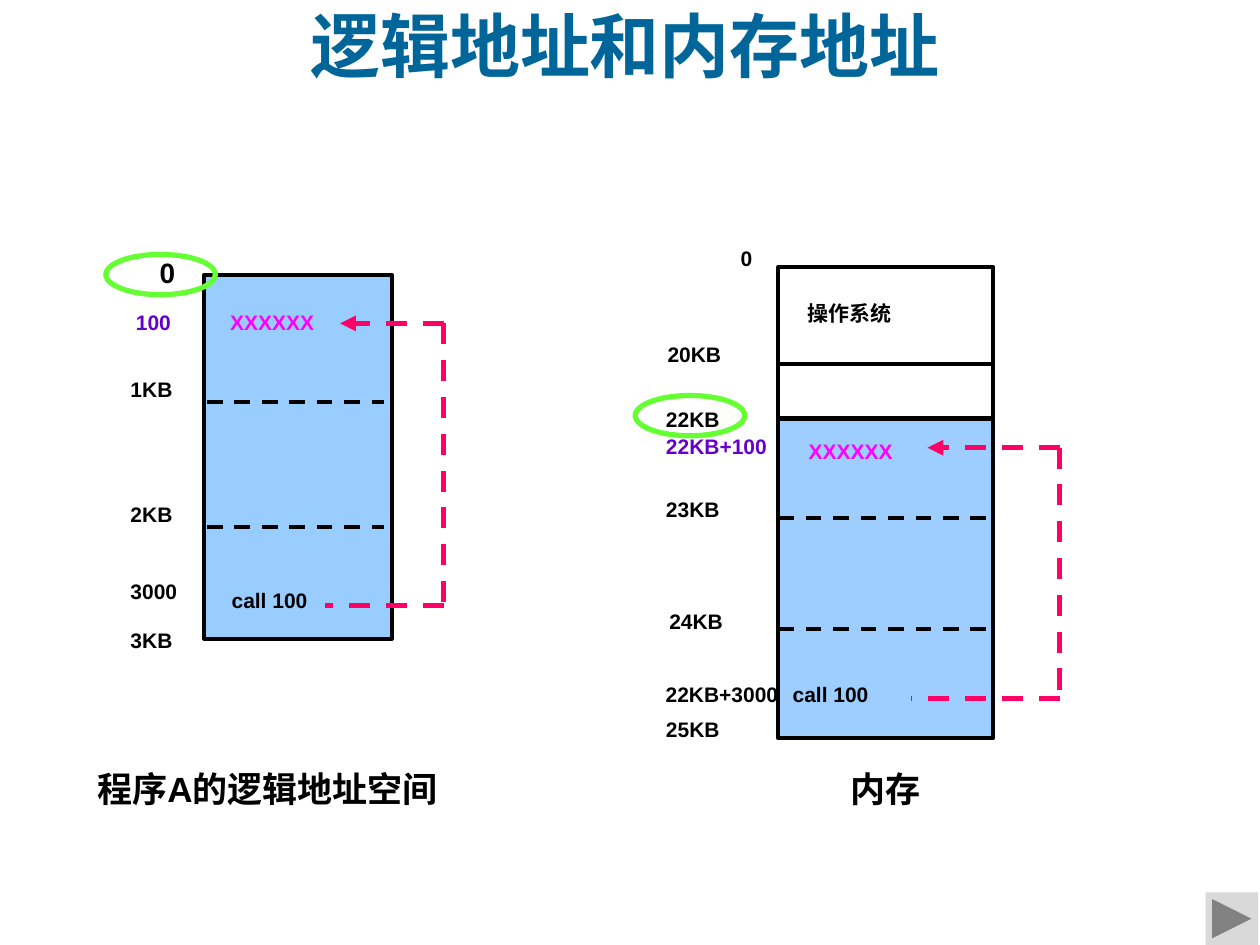
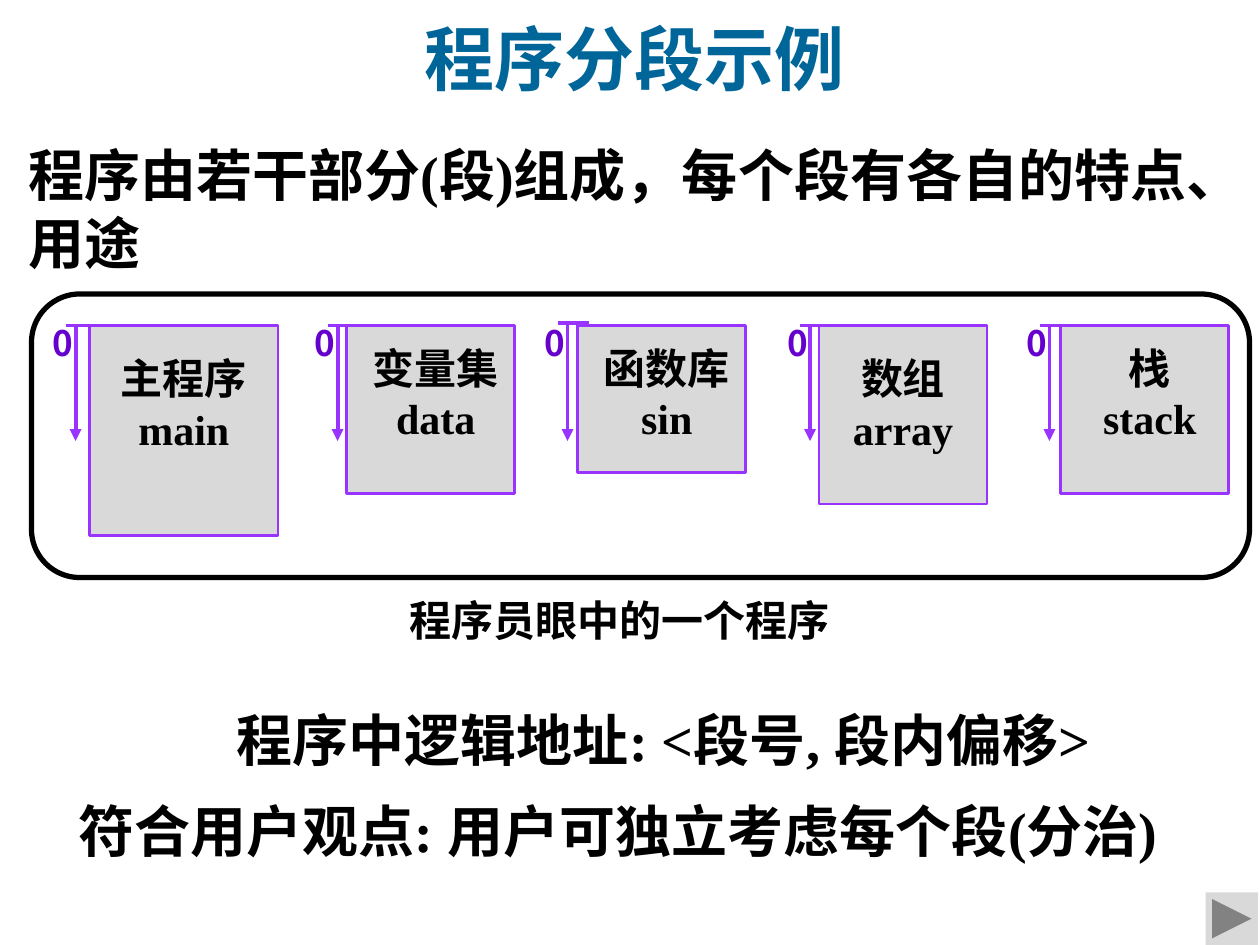
from dataclasses import dataclass
from typing import NamedTuple

from lxml import etree
from pptx import Presentation
from pptx.dml.color import RGBColor
from pptx.enum.dml import MSO_LINE
from pptx.enum.shapes import MSO_CONNECTOR, MSO_SHAPE
from pptx.enum.text import MSO_ANCHOR, MSO_AUTO_SIZE, PP_ALIGN
from pptx.oxml.ns import qn
from pptx.slide import Slide
from pptx.util import Pt

RECT = MSO_SHAPE.RECTANGLE
ROUNDED = MSO_SHAPE.ROUNDED_RECTANGLE
OVAL = MSO_SHAPE.OVAL
NEXT_BUTTON = MSO_SHAPE.ACTION_BUTTON_FORWARD_OR_NEXT
STRAIGHT = MSO_CONNECTOR.STRAIGHT
DASH = MSO_LINE.DASH
LEFT, CENTER = PP_ALIGN.LEFT, PP_ALIGN.CENTER
TOP = MSO_ANCHOR.TOP
NO_AUTOSIZE = MSO_AUTO_SIZE.NONE
TITLE_ONLY = 5


@dataclass(frozen=True)
class Theme:
    title: str = "006699"
    ink: str = "000000"
    program: str = "99CCFF"
    loaded: str = "9DCEFF"
    jump: str = "FF0066"
    target: str = "FF00FF"
    address: str = "6600CC"
    highlight: str = "66FF33"
    segment: str = "D9D9D9"
    segment_line: str = "9933FF"
    title_size: float = 40
    body_size: float = 32
    segment_size: float = 24
    caption_size: float = 20
    origin_size: float = 16
    label_size: float = 12
    serif: str = "Times New Roman"
    sans: str = "Arial"
    chinese: str = "Noto Sans CJK SC"


THEME = Theme()


class Box(NamedTuple):
    left: float
    top: float
    width: float
    height: float


class Style(NamedTuple):
    size: float
    face: str
    color: str = THEME.ink
    align: PP_ALIGN = LEFT


class Label(NamedTuple):
    text: str
    left: float
    top: float
    color: str = THEME.ink
    size: float = THEME.label_size


class Jump(NamedTuple):
    right: float
    target_x: float
    target_y: float
    call_x: float
    call_y: float


class Segment(NamedTuple):
    name: str
    code: str
    left: float
    width: float
    height: float
    label_shift: float
    label_top: float
    tick_left: float
    tick_top: float = 186


TITLE = Style(THEME.title_size, THEME.serif, THEME.title, CENTER)
BODY = Style(THEME.body_size, THEME.serif)
CAPTION = Style(THEME.caption_size, THEME.sans, align=CENTER)
SEGMENT_NAME = Style(THEME.segment_size, THEME.serif, align=CENTER)
SEGMENT_CAPTION = Style(THEME.segment_size, THEME.chinese, align=CENTER)
OFFSET_ZERO = Style(THEME.caption_size, THEME.chinese, THEME.address)

PROGRAM_LABELS = [
    Label("0", 84.2, 142.6, size=THEME.origin_size),
    Label("100", 70.6, 173.5, THEME.address),
    Label("1KB", 67.5, 211.7),
    Label("2KB", 67.5, 283),
    Label("3000", 67.5, 327),
    Label("3KB", 67.5, 355),
    Label("XXXXXX", 124.5, 173.5, THEME.target),
    Label("call 100", 125.3, 332),
]
MEMORY_LABELS = [
    Label("0", 416.2, 136.8),
    Label("20KB", 374.4, 191.5),
    Label("22KB", 373.5, 228.5),
    Label("22KB+100", 373.5, 244, THEME.address),
    Label("23KB", 373.5, 280),
    Label("24KB", 375.4, 344.2),
    Label("22KB+3000", 373.3, 386),
    Label("25KB", 373.5, 406),
    Label("操作系统", 454.2, 168),
    Label("XXXXXX", 455, 247, THEME.target),
    Label("call 100", 445.9, 386),
]
SEGMENTS = [
    Segment("主程序", "main", 51, 108, 120, 0, 198, 37.5),
    Segment("变量集", "data", 198, 96, 96, 3, 192, 187.2),
    Segment("函数库", "sin", 330, 96, 84, 3, 192, 318.6, 184.5),
    Segment("数组", "array", 468, 96, 102, 0, 198, 457.2),
    Segment("栈", "stack", 606, 96, 96, 3, 192, 594),
]


# Shared drawing
def rgb(color: str) -> RGBColor:
    return RGBColor.from_string(color)


def fill_text(shape, lines: list[str], style: Style) -> None:
    frame = shape.text_frame
    frame.text = "\n".join(lines)
    frame.word_wrap = True
    frame.auto_size = NO_AUTOSIZE
    frame.vertical_anchor = TOP
    for paragraph in frame.paragraphs:
        paragraph.alignment = style.align
        font = paragraph.font
        font.size, font.bold, font.name = Pt(style.size), True, style.face
        font.color.rgb = rgb(style.color)
        run_defaults = paragraph._p.pPr.find(qn("a:defRPr"))
        etree.SubElement(run_defaults, qn("a:ea")).set("typeface", THEME.chinese)


def add_text(slide: Slide, lines: list[str], box: Box, style: Style):
    shape = slide.shapes.add_textbox(*map(Pt, box))
    fill_text(shape, lines, style)
    return shape


def add_statement(slide: Slide, text: str, box: Box, align: PP_ALIGN,
                  margin: float, indent: float) -> None:
    shape = add_text(slide, [text], box, BODY._replace(align=align))
    paragraph = shape.text_frame.paragraphs[0]
    paragraph.line_spacing = 1.4
    paragraph._p.pPr.set("marL", str(Pt(margin)))
    paragraph._p.pPr.set("indent", str(Pt(indent)))


def add_block(slide: Slide, kind: MSO_SHAPE, box: Box, fill: str | None = None,
              line: str | None = None, weight: float = 2.25):
    shape = slide.shapes.add_shape(kind, *map(Pt, box))
    shape.shadow.inherit = False
    if fill:
        shape.fill.solid()
        shape.fill.fore_color.rgb = rgb(fill)
    else:
        shape.fill.background()
    if line:
        shape.line.color.rgb = rgb(line)
        shape.line.width = Pt(weight)
    else:
        shape.line.fill.background()
    return shape


def add_line(slide: Slide, start: tuple[float, float], end: tuple[float, float],
             color: str = THEME.ink, weight: float = 2.25,
             dashed: bool = False, arrow: bool = False) -> None:
    line = slide.shapes.add_connector(STRAIGHT, *map(Pt, (*start, *end)))
    line.line.color.rgb = rgb(color)
    line.line.width = Pt(weight)
    if dashed:
        line.line.dash_style = DASH
    if arrow:
        etree.SubElement(line.line._get_or_add_ln(), qn("a:tailEnd")).set("type", "triangle")
    etree.SubElement(line._element.spPr, qn("a:effectLst"))


def add_slide(prs, title: str, title_box: Box) -> Slide:
    slide = prs.slides.add_slide(prs.slide_layouts[TITLE_ONLY])
    heading = slide.shapes.title
    heading.left, heading.top, heading.width, heading.height = map(Pt, title_box)
    fill_text(heading, [title], TITLE)
    add_block(slide, NEXT_BUTTON, Box(689, 510, 30, 30), THEME.segment)
    return slide


# Address diagram parts
def add_labels(slide: Slide, labels: list[Label]) -> None:
    for label in labels:
        add_text(slide, [label.text], Box(label.left, label.top, 100, 24),
                 Style(label.size, THEME.sans, label.color))


def add_page_lines(slide: Slide, left: float, right: float, tops: list[float]) -> None:
    for top in tops:
        add_line(slide, (left, top), (right, top), dashed=True)


def add_jump(slide: Slide, jump: Jump) -> None:
    upper, lower = (jump.right, jump.target_y), (jump.right, jump.call_y)
    ends = [
        (upper, (jump.target_x, jump.target_y), True),
        (upper, lower, False),
        (lower, (jump.call_x, jump.call_y), False),
    ]
    for start, end, arrow in ends:
        add_line(slide, start, end, THEME.jump, 3, dashed=True, arrow=arrow)


def build_addresses(prs) -> None:
    slide = add_slide(prs, "逻辑地址和内存地址", Box(166.3, -2, 381.6, 55.4))

    # Logical address space of the program
    add_block(slide, RECT, Box(116.6, 157, 107.3, 208), THEME.program, THEME.ink)
    add_page_lines(slide, 118.3, 219.6, [229.7, 301])
    add_labels(slide, PROGRAM_LABELS)
    add_jump(slide, Jump(253.6, 194.4, 184.8, 185.8, 345.8))
    add_text(slide, ["程序A的逻辑地址空间"], Box(-0.7, 435, 307.4, 32), CAPTION)

    # Physical memory: loaded program, operating system, free gap
    left, width = 444.8, 122.6
    for top, height, fill in [(239, 183, THEME.loaded), (152.6, 55.4, None), (208, 31.5, None)]:
        add_block(slide, RECT, Box(left, top, width, height), fill, THEME.ink)
    add_page_lines(slide, left, left + width, [295.8, 359.3])
    add_labels(slide, MEMORY_LABELS)
    add_jump(slide, Jump(605.5, 530, 255.8, 520.3, 399))
    add_text(slide, ["内存"], Box(470.5, 435, 71, 32), CAPTION)

    # Matching start addresses
    for oval_left, oval_top in [(363, 226), (60.5, 145.4)]:
        add_block(slide, OVAL, Box(oval_left, oval_top, 62.6, 23), line=THEME.highlight, weight=3)


# Segment diagram parts
def add_segment(slide: Slide, segment: Segment) -> None:
    add_block(slide, RECT, Box(segment.left, 186, segment.width, segment.height),
              THEME.segment, THEME.segment_line, 1.5)
    label_width = 96
    label_left = segment.left + (segment.width - label_width) / 2 + segment.label_shift
    add_text(slide, [segment.name, segment.code],
             Box(label_left, segment.label_top, label_width, 65.5), SEGMENT_NAME)

    # Offset axis starting at zero
    tick, axis = segment.tick_left, segment.tick_left + 5.7
    add_line(slide, (tick, segment.tick_top), (tick + 18, segment.tick_top), THEME.segment_line)
    add_line(slide, (axis, 186), (axis, 252), THEME.segment_line, arrow=True)
    add_text(slide, ["0"], Box(tick - 14.5, 180, 30, 31), OFFSET_ZERO)


def build_segments(prs) -> None:
    slide = add_slide(prs, "程序分段示例", Box(233.5, 5.5, 258, 55.4))
    add_text(slide, ["程序由若干部分(段)组成，每个段有各自的特点、用途"],
             Box(9, 77, 692, 80), BODY)

    # The program and its segments
    for segment in SEGMENTS:
        add_segment(slide, segment)
    frame = add_block(slide, ROUNDED, Box(18, 168, 696, 162), line=THEME.ink, weight=3)
    frame.adjustments[0] = 0.17
    add_text(slide, ["程序员眼中的一个程序"], Box(222, 336, 264, 36), SEGMENT_CAPTION)

    # Conclusions
    add_statement(slide, "程序中逻辑地址: <段号, 段内偏移>",
                  Box(92.2, 384, 606, 55.4), LEFT, 36, 0)
    add_statement(slide, "符合用户观点: 用户可独立考虑每个段(分治)",
                  Box(1.8, 436.3, 696.2, 61.2), CENTER, 14.4, -8)


def main() -> None:
    prs = Presentation()
    prs.slide_width, prs.slide_height = Pt(720), Pt(540)
    build_addresses(prs)
    build_segments(prs)
    prs.save("out.pptx")


if __name__ == "__main__":
    main()
